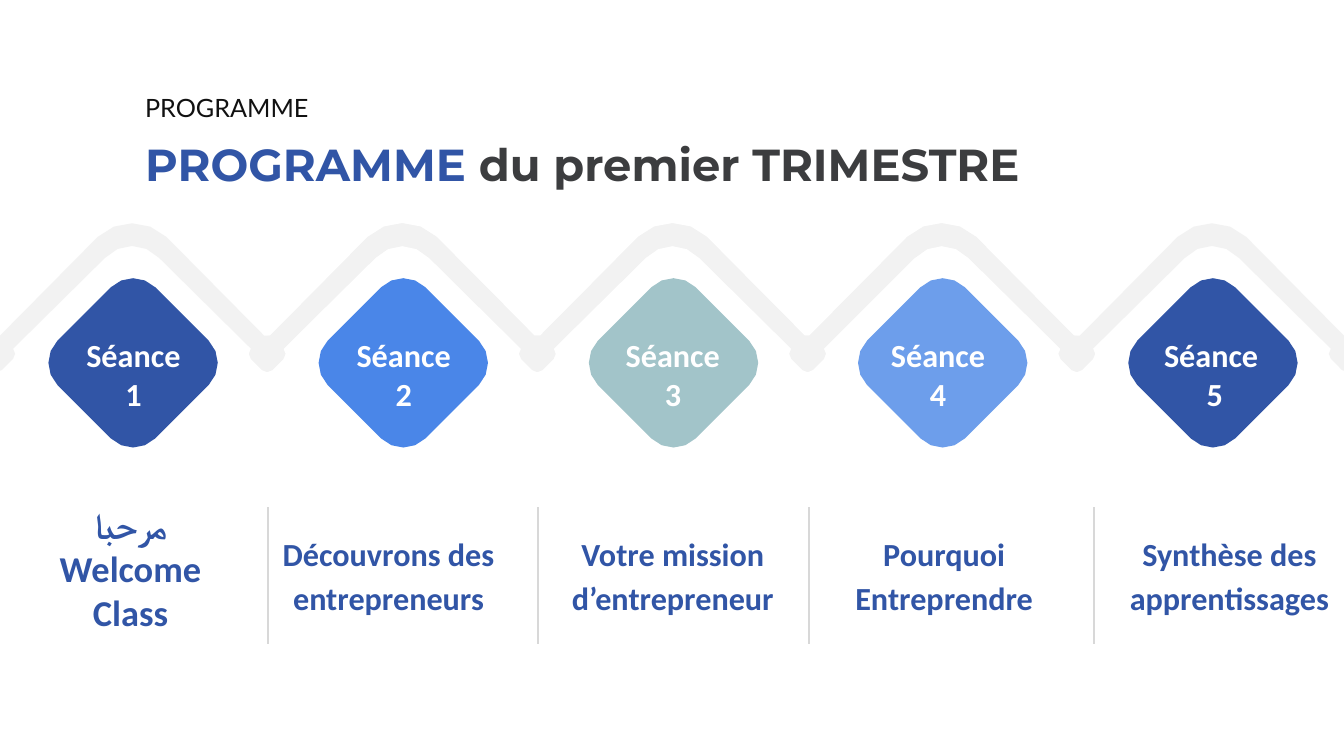
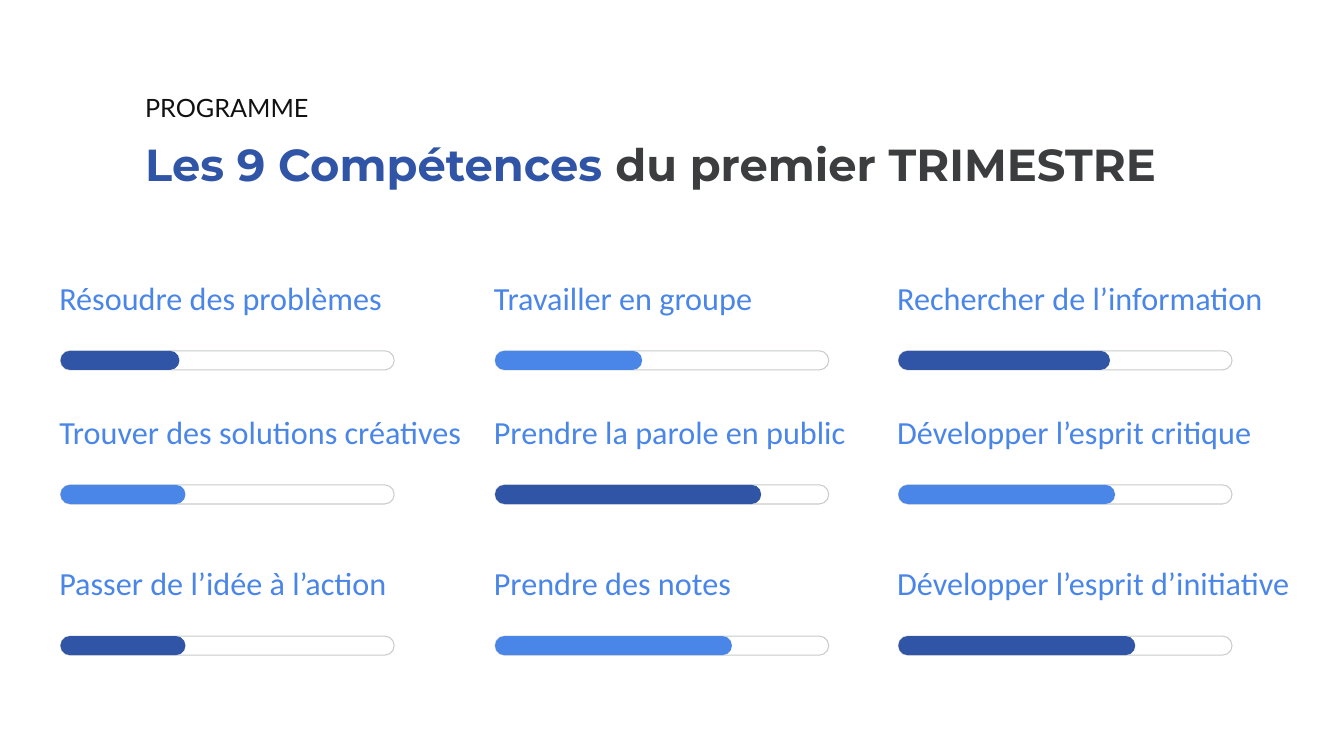
from dataclasses import dataclass

import pptx
import pptx.dml.color
import pptx.enum.shapes
import pptx.enum.text
import pptx.util
from lxml import etree

# Shared scale, colours and fonts
PX = 9144  # EMU per px, 100 px to the inch
NAVY, BLUE, SKY, TEAL = "3155A6", "4A86E8", "6D9EEB", "A2C4C9"
DARK, INK, WHITE = "3C3D3F", "111111", "FFFFFF"
RIBBON, RULE, TRACK = "F2F2F2", "D8D8D8", "C9CCCB"
TITLE_FONT, KICKER_FONT, TEXT_FONT = "Montserrat", "Lato", "Calibri"
ALIGN = pptx.enum.text.PP_ALIGN
ANCHOR = pptx.enum.text.MSO_ANCHOR
SHAPE = pptx.enum.shapes.MSO_SHAPE
Point = tuple[float, float]

# Rhythm of the timeline
PEAKS = (131, 399, 667, 934, 1202)
HALF_PITCH = 134
DIAMOND_Y = 360
DIVIDERS = (266, 534, 802, 1085)


@dataclass(frozen=True)
class Style:
    size: int
    color: str
    bold: bool = False
    font: str = TEXT_FONT


@dataclass(frozen=True)
class Session:
    name: tuple[str, ...]
    color: str
    name_x: int
    topic: tuple[str, ...]
    topic_x: int
    name_width: int = 133
    topic_y: int = 519
    topic_width: int = 225
    topic_height: int = 110
    topic_size: int = 23
    spacing: float = 1.15


@dataclass(frozen=True)
class Skill:
    name: str
    level: int  # length of the filled part


SESSIONS = (
    Session(("Séance 1",), NAVY, 66, ("مرحبا", "Welcome Class"), 17,
            topic_y=494, topic_height=64, topic_size=26, spacing=1.0),
    Session(("Séance 2",), BLUE, 334, ("Découvrons des entrepreneurs",), 260,
            topic_width=251, topic_height=92),
    Session(("Séance 3",), TEAL, 601, ("Votre mission d’entrepreneur",), 555),
    Session(("Séance 4",), SKY, 864, ("Pourquoi Entreprendre",), 824),
    Session(("Séance ", "5"), NAVY, 1127, ("Synthèse des apprentissages",), 1107,
            name_width=156),
)

SKILL_COLUMNS = (60, 491, 891)
SKILL_ROWS = (266, 399, 549)
SKILLS = (  # row by row
    (Skill("Résoudre des problèmes", 118),
     Skill("Travailler en groupe", 146),
     Skill("Rechercher de l’information", 210)),
    (Skill("Trouver des solutions créatives", 124),
     Skill("Prendre la parole en public", 264),
     Skill("Développer l’esprit critique", 215)),
    (Skill("Passer de l’idée à l’action", 124),
     Skill("Prendre des notes", 235),
     Skill("Développer l’esprit d’initiative", 235)),
)


def px(value: float) -> int:
    return pptx.util.Emu(round(value * PX))


def rgb(color: str) -> pptx.dml.color.RGBColor:
    return pptx.dml.color.RGBColor.from_string(color)


# Text
def add_run(p, text: str, style: Style) -> None:
    r = p.add_run()
    r.text = text
    r.font.name = style.font
    r.font.size = pptx.util.Pt(style.size)
    r.font.bold = style.bold
    r.font.color.rgb = rgb(style.color)


def set_frame(tf, inset: int = 5, anchor=ANCHOR.TOP) -> None:
    tf.word_wrap = True
    tf.auto_size = pptx.enum.text.MSO_AUTO_SIZE.NONE
    tf.vertical_anchor = anchor
    tf.margin_left = tf.margin_right = px(10)
    tf.margin_top = tf.margin_bottom = px(inset)


def add_text(s, x: int, y: int, w: int, h: int, lines: tuple[str, ...],
             style: Style, align=ALIGN.LEFT, spacing: float = 1.0,
             inset: int = 5, anchor=ANCHOR.TOP) -> None:
    tf = s.shapes.add_textbox(px(x), px(y), px(w), px(h)).text_frame
    set_frame(tf, inset, anchor)
    for i, line in enumerate(lines):
        p = tf.add_paragraph() if i else tf.paragraphs[0]
        p.alignment = align
        p.line_spacing = spacing
        add_run(p, line, style)


def add_slide(prs, accent: str, rest: str, title_width: int):
    """Slide with the two-colour title and the small heading above it."""
    s = prs.slides.add_slide(prs.slide_layouts[5])
    title = s.shapes.title
    title.left, title.top = px(134), px(131)
    title.width, title.height = px(title_width), px(64)
    set_frame(title.text_frame)
    p = title.text_frame.paragraphs[0]
    p.alignment = ALIGN.LEFT
    add_run(p, accent, Style(32, NAVY, True, TITLE_FONT))
    add_run(p, rest, Style(32, DARK, True, TITLE_FONT))
    add_text(s, 134, 91, 319, 31, ("PROGRAMME",),
             Style(18, INK, font=KICKER_FONT), anchor=ANCHOR.MIDDLE)
    return s


# Outlines
def curve(a: Point, b: Point, c: Point, d: Point, steps: int = 4) -> list[Point]:
    """Points along a cubic Bézier curve."""
    points = []
    for i in range(steps + 1):
        t = i / steps
        weights = ((1 - t) ** 3, 3 * t * (1 - t) ** 2, 3 * t * t * (1 - t), t ** 3)
        points.append((sum(k * q[0] for k, q in zip(weights, (a, b, c, d))),
                       sum(k * q[1] for k, q in zip(weights, (a, b, c, d)))))
    return points


def add_outline(s, points: list[Point], color: str) -> None:
    emu = [(px(x), px(y)) for x, y in points]
    fb = s.shapes.build_freeform(*emu[0], scale=1.0)
    fb.add_line_segments(emu[1:], close=True)
    sp = fb.convert_to_shape()
    sp.shadow.inherit = False
    sp.fill.solid()
    sp.fill.fore_color.rgb = rgb(color)
    sp.line.fill.background()


def knot_points(n: int) -> list[Point]:
    """Lower side of the joint between two peaks."""
    return [(n + 16, 346), (n + 18, 351), (n + 16, 356), (n + 5, 367), (n, 369),
            (n - 5, 367), (n - 16, 356), (n - 18, 351), (n - 16, 346)]


def ribbon_points(peaks: tuple[int, ...]) -> list[Point]:
    """Zigzag band: upper edge rightwards, then lower edge back."""
    first, last = peaks[0] - HALF_PITCH, peaks[-1] + HALF_PITCH
    points: list[Point] = [(first - 5, 334)]
    for c in peaks:
        points.append((c - 131, 333))
        points += curve((c - 34, 235), (c - 15, 217), (c + 15, 217), (c + 34, 235))
        points.append((c + 131, 333))
    points.append((last + 5, 334))
    for c in reversed(peaks):
        points += knot_points(c + HALF_PITCH)
        points += curve((c + 27, 256), (c + 12, 240), (c - 12, 240), (c - 27, 256))
    return points + knot_points(first)


def diamond_points(cx: int, cy: int) -> list[Point]:
    corner = curve((-22, -75), (-10, -87), (10, -87), (22, -75))
    points = []
    for _ in range(4):
        points += [(cx + x, cy + y) for x, y in corner]
        corner = [(-y, x) for x, y in corner]
    return points


def add_divider(s, x: int) -> None:
    line = s.shapes.add_connector(pptx.enum.shapes.MSO_CONNECTOR.STRAIGHT,
                                  px(x), px(503), px(x), px(639))
    line.line.color.rgb = rgb(RULE)
    line.line.width = pptx.util.Pt(1.5)
    etree.SubElement(line._element.spPr, pptx.oxml.ns.qn("a:effectLst"))


def add_pill(shapes, x: int, y: int, w: int):
    sp = shapes.add_shape(SHAPE.ROUNDED_RECTANGLE, px(x), px(y), px(w), px(19))
    sp.adjustments[0] = 0.5
    sp.shadow.inherit = False
    return sp


def add_skill(s, x: int, y: int, skill: Skill, color: str) -> None:
    bar = s.shapes.add_group_shape().shapes
    track = add_pill(bar, x, y + 82, 331)
    track.fill.background()
    track.line.color.rgb = rgb(TRACK)
    track.line.width = pptx.util.Pt(0.75)
    level = add_pill(bar, x, y + 82, skill.level)
    level.fill.solid()
    level.fill.fore_color.rgb = rgb(color)
    level.line.fill.background()
    add_text(s, x - 11, y, 440, 59, (skill.name,), Style(23, BLUE), inset=10)


# Slides
def add_programme(prs) -> None:
    s = add_slide(prs, "PROGRAMME ", "du premier TRIMESTRE", 962)
    for peaks in (PEAKS[:-1], PEAKS[1:]):  # two overlapping bands
        add_outline(s, ribbon_points(peaks), RIBBON)
    for peak, session in zip(PEAKS, SESSIONS):
        add_outline(s, diamond_points(peak + 1, DIAMOND_Y), session.color)
        add_text(s, session.name_x, 328, session.name_width, 64, session.name,
                 Style(23, WHITE, True), ALIGN.CENTER)
        add_text(s, session.topic_x, session.topic_y, session.topic_width,
                 session.topic_height, session.topic,
                 Style(session.topic_size, NAVY, True),
                 ALIGN.CENTER, session.spacing)
    for x in DIVIDERS:
        add_divider(s, x)


def add_skills(prs) -> None:
    s = add_slide(prs, "Les 9 Compétences ", "du premier TRIMESTRE", 1159)
    for i, (y, row) in enumerate(zip(SKILL_ROWS, SKILLS)):
        for j, (x, skill) in enumerate(zip(SKILL_COLUMNS, row)):
            add_skill(s, x, y, skill, BLUE if (i + j) % 2 else NAVY)


def main() -> None:
    prs = pptx.Presentation()
    prs.slide_width, prs.slide_height = px(1333), px(750)
    add_programme(prs)
    add_skills(prs)
    prs.save("out.pptx")


if __name__ == "__main__":
    main()
